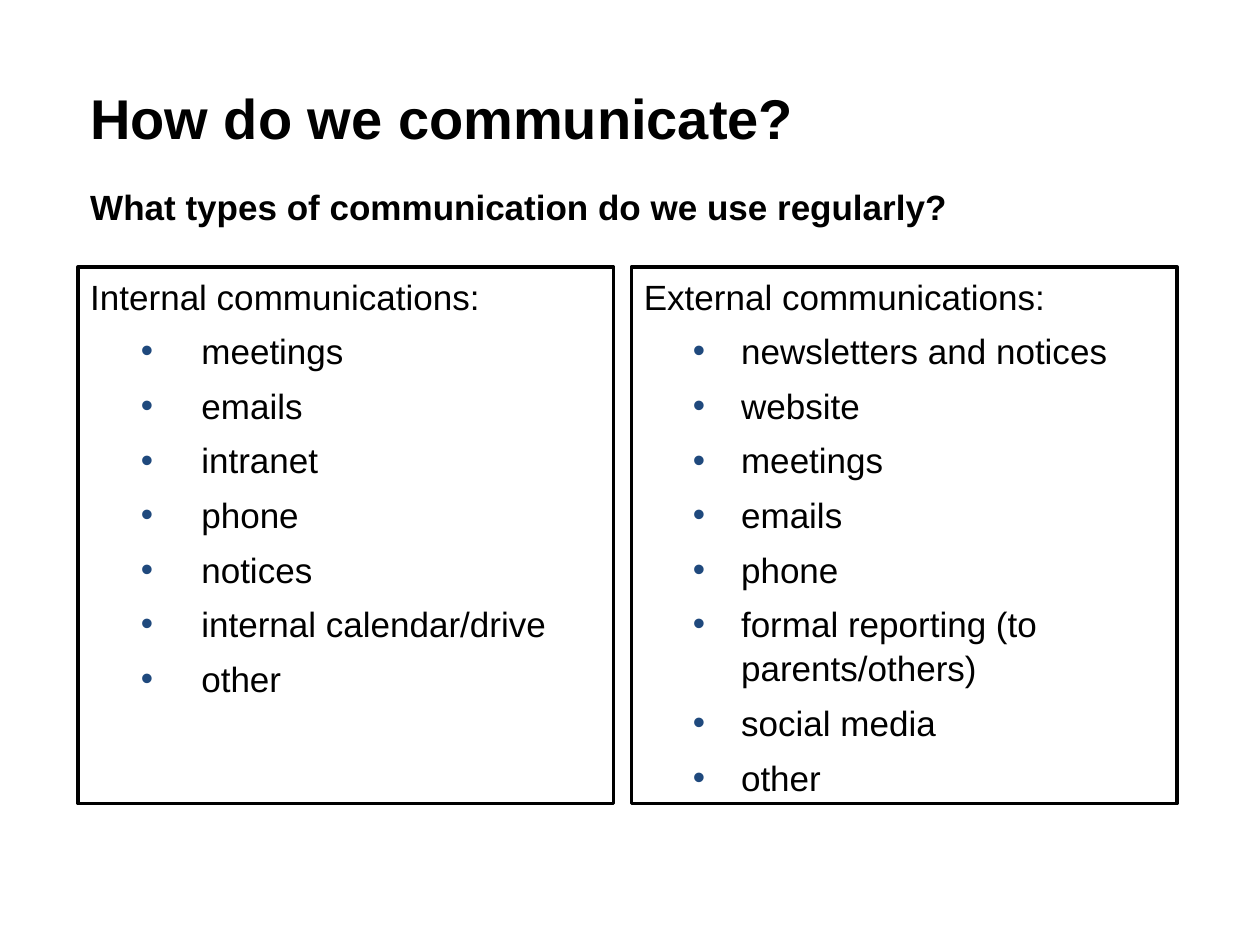
import pptx
import pptx.util
import pptx.oxml.ns
import pptx.dml.color
import pptx.enum.shapes
import pptx.enum.text
from lxml import etree

Cm = pptx.util.Cm
Pt = pptx.util.Pt
COLORS = {"text": "000000", "border": "000000", "bullet": "1F497D"}
FONT = "Arial"
LEFT = 1.57
PANEL_TOP, PANEL_HEIGHT = 5.38, 10.82
PANELS = [
    {
        "box": (LEFT, PANEL_TOP, 10.8, PANEL_HEIGHT),
        "heading": "Internal communications:",
        "items": ["meetings", "emails", "intranet", "phone", "notices",
                  "internal calendar/drive", "other"],
        "indent": 2.24,
        "hanging": 1.22,
    },
    {
        "box": (12.73, PANEL_TOP, 11, PANEL_HEIGHT),
        "heading": "External communications:",
        "items": ["newsletters and notices", "website", "meetings", "emails", "phone",
                  "formal reporting (to parents/others)", "social media", "other"],
        "indent": 1.96,
        "hanging": 0.97,
    },
]


def rgb(name):
    return pptx.dml.color.RGBColor.from_string(COLORS[name])


def add_span(para, text, size, bold=False):
    span = para.add_run()
    span.text = text
    span.font.name = FONT
    span.font.size = Pt(size)
    span.font.bold = bold
    span.font.color.rgb = rgb("text")


def add_bullet(para, indent, hanging):
    properties = para._p.get_or_add_pPr()
    properties.set("marL", str(Cm(indent)))
    properties.set("indent", str(-Cm(hanging)))
    qn = pptx.oxml.ns.qn
    color = etree.SubElement(properties, qn("a:buClr"))
    etree.SubElement(color, qn("a:srgbClr"), val=COLORS["bullet"])
    etree.SubElement(properties, qn("a:buFont"), typeface=FONT)
    etree.SubElement(properties, qn("a:buChar"), char="•")


def add_headline(page, box, text, size):
    frame = page.shapes.add_textbox(*map(Cm, box)).text_frame
    frame.word_wrap = True
    frame.vertical_anchor = pptx.enum.text.MSO_ANCHOR.MIDDLE
    add_span(frame.paragraphs[0], text, size, bold=True)


def add_panel(page, box, heading, items, indent, hanging):
    panel = page.shapes.add_shape(pptx.enum.shapes.MSO_SHAPE.RECTANGLE, *map(Cm, box))
    panel.shadow.inherit = False
    panel.fill.background()
    panel.line.color.rgb = rgb("border")
    panel.line.width = Pt(2)
    frame = panel.text_frame
    frame.word_wrap = True
    frame.vertical_anchor = pptx.enum.text.MSO_ANCHOR.TOP
    for index, text in enumerate([heading, *items]):
        para = frame.add_paragraph() if index else frame.paragraphs[0]
        para.alignment = pptx.enum.text.PP_ALIGN.LEFT
        para.line_spacing = 1.05
        para.space_after = Pt(6)
        if index:
            add_bullet(para, indent, hanging)
        add_span(para, text, 20)


def main():
    deck = pptx.Presentation()
    deck.slide_width, deck.slide_height = Cm(25.4), Cm(19.05)
    page = deck.slides.add_slide(deck.slide_layouts[6])
    add_headline(page, (LEFT, 0.86, 22.81, 3), "How do we communicate?", 32)
    add_headline(page, (LEFT, 3.61, 22, 1.1),
                 "What types of communication do we use regularly?", 20)
    for panel in PANELS:
        add_panel(page, **panel)
    deck.save("out.pptx")


if __name__ == "__main__":
    main()
